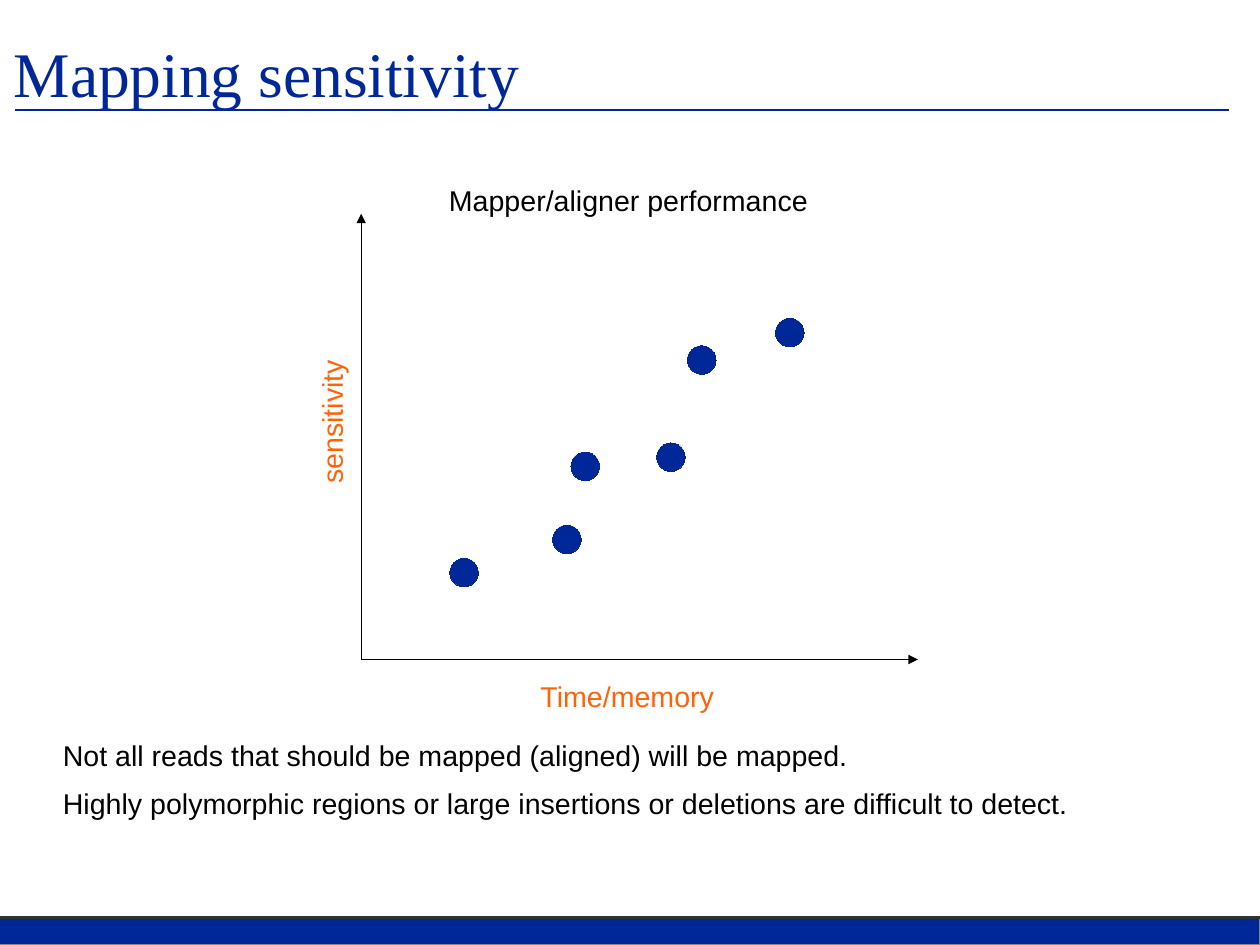
from dataclasses import dataclass

from lxml import etree
from pptx import Presentation
from pptx import util as u
from pptx.dml.color import RGBColor
from pptx.enum import shapes, text
from pptx.oxml.ns import qn

# Content
TITLE = "Mapping sensitivity"
CHART_TITLE = "Mapper/aligner performance"
X_LABEL, Y_LABEL = "Time/memory", "sensitivity"
NOTES = [
    "Not all reads that should be mapped (aligned) will be mapped.",
    "Highly polymorphic regions or large insertions or deletions are difficult to detect.",
]
# Each mapper: distance along the time axis and the sensitivity axis, in inches
MAPPERS = [(3.75, 2.86), (2.98, 2.62), (2.71, 1.77), (1.96, 1.69), (1.8, 1.05), (0.9, 0.76)]


@dataclass(frozen=True)
class Theme:
    blue: str = "002798"
    orange: str = "FF6309"
    black: str = "000000"
    edge: str = "2E3436"
    gray: str = "888A85"
    title_font: str = "Times New Roman"
    body_font: str = "Arial"
    title_size: int = 40
    body_size: int = 18
    rule: float = 1.42


THEME = Theme()

# Layout
presentation = Presentation()
presentation.slide_width = u.Cm(28)
presentation.slide_height = u.Cm(21)
slide = presentation.slides.add_slide(presentation.slide_layouts[6])

WIDTH = presentation.slide_width.inches
HEIGHT = presentation.slide_height.inches
FOOTER_TOP = HEIGHT - 0.24
ORIGIN_X, ORIGIN_Y = 3.16, 5.77
AXIS_X, AXIS_Y = 4.87, 3.9
DOT = 0.25
LABEL_HEIGHT = 0.38


def set_outline(shape, color, width=0):
    shape.line.color.rgb = RGBColor.from_string(color)
    outline = shape.line._get_or_add_ln()
    outline.set("w", str(int(u.Pt(width))))  # a hairline needs an explicit zero
    return outline


def add_filled(preset, left, top, width, height, edge):
    shape = slide.shapes.add_shape(preset, *map(u.Inches, (left, top, width, height)))
    shape.shadow.inherit = False
    shape.fill.solid()
    shape.fill.fore_color.rgb = RGBColor.from_string(THEME.blue)
    set_outline(shape, edge)


def add_line(start, end, color, width=0, arrow=False):
    line = slide.shapes.add_connector(
        shapes.MSO_CONNECTOR.STRAIGHT, *map(u.Inches, (*start, *end)))
    outline = set_outline(line, color, width)
    if arrow:
        etree.SubElement(outline, qn("a:tailEnd"), type="triangle")
    etree.SubElement(line._element.spPr, qn("a:effectLst"))


def add_text(lines, left, top, width, height, *, size=THEME.body_size,
             font=THEME.body_font, color=THEME.black, inset=(0, 0), wrap=True,
             fit=text.MSO_AUTO_SIZE.NONE, anchor=text.MSO_ANCHOR.TOP,
             space_after=0, rotation=0):
    box = slide.shapes.add_textbox(*map(u.Inches, (left, top, width, height)))
    box.rotation = rotation
    frame = box.text_frame
    frame.word_wrap = wrap
    frame.auto_size = fit
    frame.vertical_anchor = anchor
    frame.margin_left = frame.margin_right = u.Inches(inset[0])
    frame.margin_top = frame.margin_bottom = u.Inches(inset[1])
    for index, line in enumerate(lines):
        paragraph = frame.paragraphs[0] if index == 0 else frame.add_paragraph()
        paragraph.text = line
        paragraph.space_after = u.Pt(space_after)
        paragraph.font.size = u.Pt(size)
        paragraph.font.name = font
        paragraph.font.color.rgb = RGBColor.from_string(color)


def add_label(label, center_x, center_y, width, **style):
    add_text([label], center_x - width / 2, center_y - LABEL_HEIGHT / 2,
             width, LABEL_HEIGHT, inset=(0.1, 0.05), wrap=False,
             fit=text.MSO_AUTO_SIZE.SHAPE_TO_FIT_TEXT, **style)


# Footer band and title
add_filled(shapes.MSO_SHAPE.RECTANGLE, 0, FOOTER_TOP, WIDTH, HEIGHT - FOOTER_TOP, THEME.gray)
add_line((0, FOOTER_TOP), (WIDTH, FOOTER_TOP), THEME.edge, THEME.rule)
add_line((0.13, 0.96), (10.75, 0.96), THEME.blue, THEME.rule)
add_text([TITLE], 0.12, -0.06, 10.47, 1.38, size=THEME.title_size,
         font=THEME.title_font, color=THEME.blue, anchor=text.MSO_ANCHOR.MIDDLE)

# Notes under the plot
add_text(NOTES, 0.55, 6.46, 9.92, 0.98, space_after=8.5)

# Axes and their labels
origin = (ORIGIN_X, ORIGIN_Y)
for axis_end in ((ORIGIN_X, ORIGIN_Y - AXIS_Y), (ORIGIN_X + AXIS_X, ORIGIN_Y)):
    add_line(origin, axis_end, THEME.black, arrow=True)
add_label(Y_LABEL, 2.89, 3.68, 1.3, color=THEME.orange, rotation=270)
add_label(X_LABEL, 5.49, 6.08, 1.72, color=THEME.orange)
add_label(CHART_TITLE, 5.5, 1.74, 3.34)

# Mappers
for time, sensitivity in MAPPERS:
    add_filled(shapes.MSO_SHAPE.OVAL, ORIGIN_X + time - DOT / 2,
               ORIGIN_Y - sensitivity - DOT / 2, DOT, DOT, THEME.blue)

presentation.save("out.pptx")
